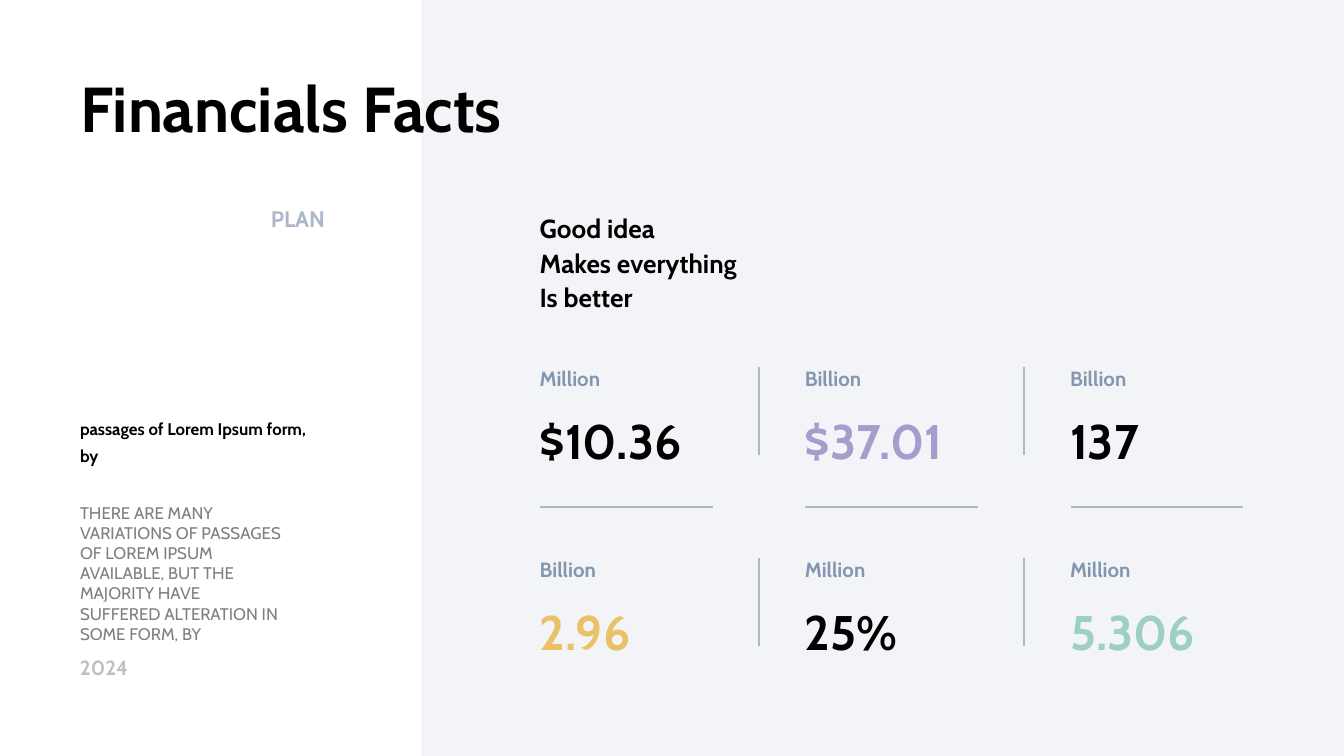
from collections import namedtuple

from lxml import etree
from pptx import Presentation
from pptx import util as u
from pptx.dml.color import RGBColor
from pptx.enum import shapes, text
from pptx.oxml.ns import qn

COLORS = {
    "black": "000000", "panel": "D5DBE5", "rule": "ACB8CA", "label": "8296B0",
    "body": "7F7F7F", "year": "BFBFBF", "purple": "A69DCC", "gold": "EAC167",
    "mint": "9DD0C2",
}
METRICS = [
    [("Million", "$10.36", "black"), ("Billion", "$37.01", "purple"), ("Billion", "137", "black")],
    [("Billion", "2.96", "gold"), ("Million", "25%", "black"), ("Million", "5.306", "mint")],
]
FRAME = {
    "word_wrap": True, "vertical_anchor": text.MSO_ANCHOR.TOP,
    "margin_left": u.Pt(5.4), "margin_right": u.Pt(5.4),
    "margin_top": u.Pt(2.7), "margin_bottom": u.Pt(2.7),
}
WIDTH = u.Inches(10)
SIZE = {"slide_width": WIDTH, "slide_height": WIDTH * 9 // 16}
Box = namedtuple("Box", "left top width height")


def within(box, left, top, width, height):
    """Return the part of box given as percentages of its size."""
    return Box(
        int(box.left + box.width * left / 100), int(box.top + box.height * top / 100),
        int(box.width * width / 100), int(box.height * height / 100),
    )


def set_values(target, values):
    for name, value in values.items():
        setattr(target, name, value)


def write(shape, lines, size, color, bold=True, spacing=1.0, grow=False):
    frame = shape.text_frame
    set_values(frame, FRAME)
    frame.auto_size = text.MSO_AUTO_SIZE.SHAPE_TO_FIT_TEXT if grow else text.MSO_AUTO_SIZE.NONE
    frame.text = lines
    for paragraph in frame.paragraphs:
        set_values(paragraph, {"alignment": text.PP_ALIGN.LEFT, "line_spacing": spacing})
        set_values(paragraph.font, {"name": "Cabin", "size": u.Pt(size), "bold": bold})
        paragraph.font.color.rgb = RGBColor.from_string(COLORS[color])


def add_text(slide, box, lines, size, color, **options):
    write(slide.shapes.add_textbox(*box), lines, size, color, **options)


def add_rule(slide, box):
    """Draw a line from the box's top left to its bottom right."""
    line = slide.shapes.add_connector(
        shapes.MSO_CONNECTOR.STRAIGHT, box.left, box.top,
        box.left + box.width, box.top + box.height,
    )
    line.line.color.rgb = RGBColor.from_string(COLORS["rule"])
    line.line.width = u.Pt(1)
    etree.SubElement(line._element.spPr, qn("a:effectLst"))


def add_panel(slide, box):
    panel = slide.shapes.add_shape(shapes.MSO_SHAPE.RECTANGLE, *box)
    panel.shadow.inherit = False
    panel.line.fill.background()
    panel.fill.solid()
    panel.fill.fore_color.rgb = RGBColor.from_string(COLORS["panel"])
    color = panel._element.spPr.find(".//" + qn("a:srgbClr"))
    etree.SubElement(color, qn("a:alpha"), val="28000")
    slide.shapes._spTree.insert(2, panel._element)  # behind the title


def add_title(slide, box):
    title = slide.shapes.title
    set_values(title, box._asdict())
    write(title, "Financials Facts", 34, "black")


def add_sidebar(slide, box):
    add_text(slide, within(box, 61.78, 26.49, 30.89, 4.98), "PLAN", 12, "rule", grow=True)
    add_text(slide, within(box, 16.56, 53.87, 61.15, 7.3),
             "passages of Lorem Ipsum form, by", 9, "black", spacing=1.33, grow=True)
    add_text(slide, within(box, 16.56, 65.78, 52.55, 20.27),
             "THERE ARE MANY VARIATIONS OF PASSAGES OF LOREM IPSUM AVAILABLE, "
             "BUT THE MAJORITY HAVE SUFFERED ALTERATION IN SOME FORM, BY",
             9, "body", bold=False, grow=True)
    add_text(slide, within(box, 16.56, 86.04, 75.48, 4.45), "2024", 11, "year", grow=True)


def add_metrics(slide, box):
    """Fill a grid of figures, with rules between its rows and columns."""
    rows, columns = len(METRICS), len(METRICS[0])
    for row, metrics in enumerate(METRICS):
        for column, (label, value, color) in enumerate(metrics):
            cell = within(box, 100 * column / columns, 100 * row / rows,
                          100 / columns, 100 / rows)
            add_text(slide, within(cell, 0, 0, 48, 17.6), label, 11, "label")
            add_text(slide, within(cell, 0, 23.5, 70, 33), value, 26, color)
            if column < columns - 1:
                add_rule(slide, within(cell, 86.5, 3.2, 0, 46))
            if row < rows - 1:
                add_rule(slide, within(cell, 4, 76.3, 65, 0))


def main():
    presentation = Presentation()
    set_values(presentation, SIZE)
    slide = presentation.slides.add_slide(presentation.slide_layouts[5])
    page = Box(0, 0, *SIZE.values())
    add_panel(slide, within(page, 31.36, 0, 68.64, 100))
    add_title(slide, within(page, 5.2, 8.5, 76.6, 11.56))
    add_sidebar(slide, within(page, 0, 0, 31.4, 100))
    add_text(slide, within(page, 39.4, 27.02, 23.5, 14.76),
             "Good idea\nMakes everything\nIs better", 14, "black", spacing=1.1, grow=True)
    add_metrics(slide, within(page, 39.4, 47.8, 59.2, 50.4))
    presentation.save("out.pptx")


if __name__ == "__main__":
    main()
